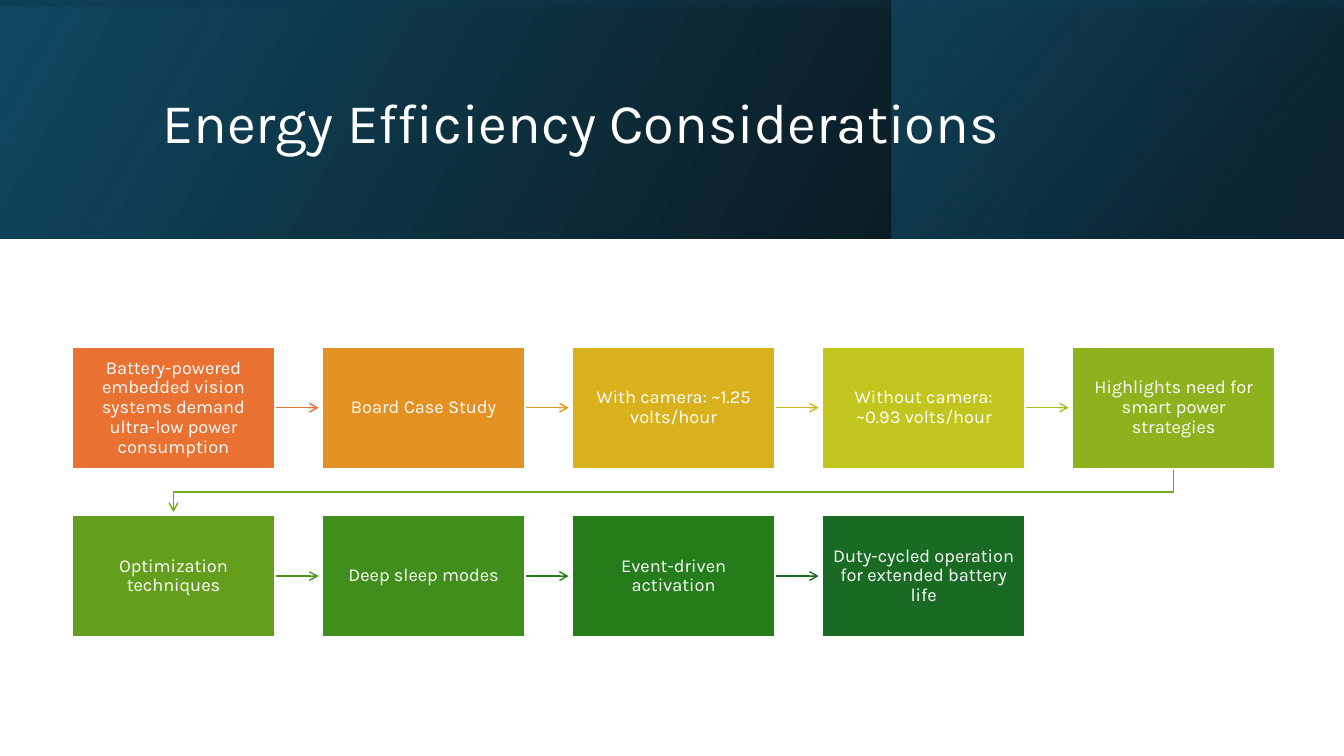
from lxml import etree
from pptx import Presentation
from pptx.dml.color import RGBColor
from pptx.enum.shapes import MSO_CONNECTOR, MSO_SHAPE
from pptx.enum.text import MSO_ANCHOR, PP_ALIGN
from pptx.oxml.ns import qn
from pptx.util import Inches, Pt

RECTANGLE = MSO_SHAPE.RECTANGLE
STRAIGHT = MSO_CONNECTOR.STRAIGHT
MIDDLE = MSO_ANCHOR.MIDDLE
CENTER = PP_ALIGN.CENTER
WHITE = RGBColor(0xFF, 0xFF, 0xFF)
BLACK = RGBColor(0x00, 0x00, 0x00)
NAVY = RGBColor(0x10, 0x48, 0x62)
DEEP_BLUE = RGBColor(0x0B, 0x30, 0x41)
BLUE = RGBColor(0x15, 0x60, 0x82)
FONT = "Karla"

TITLE = "Energy Efficiency Considerations"
STEPS = [
    ("Battery-powered embedded vision systems demand ultra-low power consumption",
     RGBColor(0xE9, 0x71, 0x32), RGBColor(0xE9, 0x71, 0x32)),
    ("Board Case Study", RGBColor(0xE4, 0x91, 0x24), RGBColor(0xE4, 0x96, 0x22)),
    ("With camera: ~1.25 volts/hour", RGBColor(0xD8, 0xB1, 0x1D), RGBColor(0xD2, 0xB8, 0x1E)),
    ("Without camera: ~0.93 volts/hour", RGBColor(0xC2, 0xC5, 0x1E), RGBColor(0xAB, 0xBC, 0x1E)),
    ("Highlights need for smart power strategies",
     RGBColor(0x8E, 0xB2, 0x1E), RGBColor(0x75, 0xA7, 0x1D)),
    ("Optimization techniques", RGBColor(0x63, 0x9F, 0x1D), RGBColor(0x49, 0x93, 0x1D)),
    ("Deep sleep modes", RGBColor(0x40, 0x8E, 0x1C), RGBColor(0x27, 0x7F, 0x1B)),
    ("Event-driven activation", RGBColor(0x24, 0x7C, 0x1B), RGBColor(0x19, 0x6B, 0x24)),
    ("Duty-cycled operation for extended battery life", RGBColor(0x19, 0x6B, 0x24), None),
]

SLIDE_WIDTH, SLIDE_HEIGHT = 13.33, 7.5
BANNER_HEIGHT = 2.37
PANEL_LEFT = 8.84
TURN_OFFSET = (SLIDE_WIDTH - BANNER_HEIGHT) / 2
BANNER_LAYERS = [
    ((0, 0, SLIDE_WIDTH, BANNER_HEIGHT), 0, 30, [(0, BLACK, 96), (100, NAVY, 100)]),
    ((PANEL_LEFT, 0, SLIDE_WIDTH - PANEL_LEFT, BANNER_HEIGHT), 0, 40,
     [(19, DEEP_BLUE, 68), (100, BLUE, 48)]),
    ((TURN_OFFSET, -TURN_OFFSET, BANNER_HEIGHT, SLIDE_WIDTH), 270, 10,
     [(23, NAVY, 16), (99, BLACK, 45)]),
]

COLUMNS = 5
GRID_LEFT, GRID_TOP = 0.71, 3.44
BOX_WIDTH, BOX_HEIGHT = 2.02, 1.21
COLUMN_PITCH, ROW_PITCH = 2.48, 1.67
ARROW_LENGTH = 0.43


def add_banner_layer(slide, box, rotation, angle, stops):
    layer = slide.shapes.add_shape(RECTANGLE, *map(Inches, box))
    layer.shadow.inherit = False
    layer.rotation = rotation
    layer.line.fill.background()
    layer.fill.gradient()
    layer.fill.gradient_angle = angle
    for gradient_stop, (position, color, _) in zip(layer.fill.gradient_stops, stops):
        gradient_stop.position = position / 100
        gradient_stop.color.rgb = color
    properties = layer._element.spPr
    properties.find(qn("a:xfrm")).set("flipH", "1")
    for color_element, (_, _, opacity) in zip(properties.iter(qn("a:srgbClr")), stops):
        etree.SubElement(color_element, qn("a:alpha"), val=str(opacity * 1000))


def write_text(frame, text, size):
    frame.word_wrap = True
    frame.vertical_anchor = MIDDLE
    paragraph = frame.paragraphs[0]
    paragraph.text = text
    paragraph.line_spacing = 0.9
    paragraph.font.size = Pt(size)
    paragraph.font.name = FONT
    paragraph.font.color.rgb = WHITE
    return paragraph


def add_step(slide, left, top, text, color):
    box = slide.shapes.add_shape(
        RECTANGLE, Inches(left), Inches(top), Inches(BOX_WIDTH), Inches(BOX_HEIGHT))
    box.shadow.inherit = False
    box.fill.solid()
    box.fill.fore_color.rgb = color
    box.line.color.rgb = WHITE
    box.line.width = Pt(1.5)
    frame = box.text_frame
    frame.margin_left = frame.margin_right = Inches(0.1)
    frame.margin_top = frame.margin_bottom = Inches(0.1)
    write_text(frame, text, 13).alignment = CENTER


def style_arrow(arrow, color):
    arrow.line.color.rgb = color
    arrow.line.width = Pt(1)
    properties = arrow._element.spPr
    etree.SubElement(properties.find(qn("a:ln")), qn("a:tailEnd"), type="arrow")
    if properties.find(qn("a:effectLst")) is None:
        etree.SubElement(properties, qn("a:effectLst"))


def add_straight_arrow(slide, left, top, color):
    start = left + BOX_WIDTH
    middle = Inches(top + BOX_HEIGHT / 2)
    arrow = slide.shapes.add_connector(
        STRAIGHT, Inches(start), middle, Inches(start + ARROW_LENGTH), middle)
    style_arrow(arrow, color)


def add_return_arrow(slide, left, top, color):
    start_x = left + BOX_WIDTH / 2
    end_x = GRID_LEFT + BOX_WIDTH / 2
    start_y = top + BOX_HEIGHT
    turn_y = top + (BOX_HEIGHT + ROW_PITCH) / 2
    end_y = start_y + ARROW_LENGTH
    builder = slide.shapes.build_freeform(Inches(start_x), Inches(start_y))
    corners = [(start_x, turn_y), (end_x, turn_y), (end_x, end_y)]
    builder.add_line_segments([(Inches(x), Inches(y)) for x, y in corners], close=False)
    arrow = builder.convert_to_shape()
    arrow.shadow.inherit = False
    arrow.fill.background()
    style_arrow(arrow, color)


def main():
    presentation = Presentation()
    presentation.slide_width = Inches(SLIDE_WIDTH)
    presentation.slide_height = Inches(SLIDE_HEIGHT)
    slide = presentation.slides.add_slide(presentation.slide_layouts[6])

    for layer in BANNER_LAYERS:
        add_banner_layer(slide, *layer)
    title = slide.shapes.add_textbox(Inches(1.51), Inches(0.38), Inches(10.63), Inches(1.72))
    write_text(title.text_frame, TITLE, 40)

    for index, (text, color, arrow_color) in enumerate(STEPS):
        row, column = divmod(index, COLUMNS)
        left = GRID_LEFT + column * COLUMN_PITCH
        top = GRID_TOP + row * ROW_PITCH
        if arrow_color is not None:
            add_arrow = add_return_arrow if column == COLUMNS - 1 else add_straight_arrow
            add_arrow(slide, left, top, arrow_color)
        add_step(slide, left, top, text, color)

    presentation.save("out.pptx")


if __name__ == "__main__":
    main()
